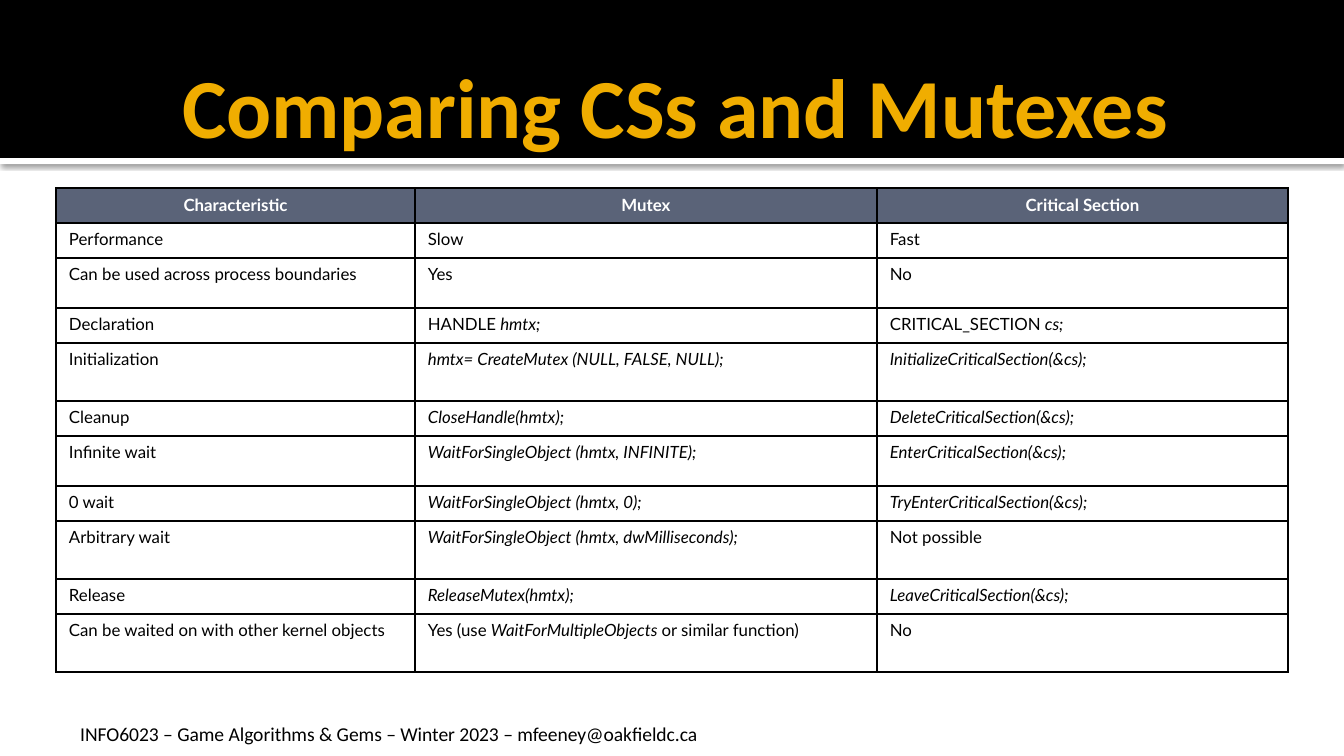
from lxml.etree import SubElement
from pptx import Presentation
from pptx.dml.color import RGBColor
from pptx.enum.shapes import MSO_SHAPE
from pptx.enum.text import MSO_ANCHOR, PP_ALIGN
from pptx.oxml import parse_xml
from pptx.oxml.ns import nsdecls, qn
from pptx.util import Pt

PX = 914400 / 134.4


def px(*lengths):
    """Turn pixel lengths into a list of EMU lengths."""
    return [round(length * PX) for length in lengths]


def set_font(font, name, size, color, bold=False):
    font.name, font.size, font.bold = name, Pt(size), bold
    font.color.rgb = RGBColor.from_string(color)


presentation = Presentation()
presentation.slide_width, presentation.slide_height = px(1344, 756)
slide = presentation.slides.add_slide(presentation.slide_layouts[5])

# Header band with a white, shadowed strip under it
bands = []
for top, height, color in [(158, 6, "FFFFFF"), (0, 158, "000000")]:
    band = slide.shapes.add_shape(MSO_SHAPE.RECTANGLE, *px(0, top, 1344, height))
    band.shadow.inherit = False
    band.fill.solid()
    band.fill.fore_color.rgb = RGBColor.from_string(color)
    band.line.fill.background()
    bands.append(band)

effects = bands[0].element.spPr.find(qn("a:effectLst"))
shadow = SubElement(effects, qn("a:outerShdw"), blurRad=str(Pt(2.5)),
                    dist=str(Pt(0.8)), dir="5400000", rotWithShape="0")
shadow_color = SubElement(shadow, qn("a:srgbClr"), val="000000")
SubElement(shadow_color, qn("a:alpha"), val="60000")

# Footer
footer = slide.shapes.add_textbox(*px(67, 715, 1132, 38))
footer.text_frame.word_wrap = True
footer.text_frame.text = "INFO6023 – Game Algorithms & Gems – Winter 2023 – mfeeney@oakfieldc.ca"
set_font(footer.text_frame.paragraphs[0].font, "Calibri", 10.5, "000000")

# Title, brought in front of the band
title = slide.shapes.title
title.left, title.top, title.width, title.height = px(169, 24, 1145, 161)
title.element.getparent().append(title.element)
frame = title.text_frame
frame.text = "Comparing CSs and Mutexes"
frame.vertical_anchor = MSO_ANCHOR.MIDDLE
frame.margin_left, frame.margin_top, frame.margin_right, frame.margin_bottom = px(13, 7, 7, 7)
frame.paragraphs[0].alignment = PP_ALIGN.LEFT
set_font(frame.paragraphs[0].font, "Calibri", 45, "F0AD00", bold=True)

# Comparison table: row height, then the cells; *text* is italic
ROWS = [
    (35, "Characteristic", "Mutex", "Critical Section"),
    (35, "Performance", "Slow", "Fast"),
    (50, "Can be used across process boundaries", "Yes", "No"),
    (35, "Declaration", "HANDLE *hmtx;*", "CRITICAL_SECTION *cs;*"),
    (58, "Initialization", "*hmtx= CreateMutex (NULL, FALSE, NULL);*",
     "*InitializeCriticalSection(&cs);*"),
    (35, "Cleanup", "*CloseHandle(hmtx);*", "*DeleteCriticalSection(&cs);*"),
    (50, "Infinite wait", "*WaitForSingleObject (hmtx, INFINITE);*",
     "*EnterCriticalSection(&cs);*"),
    (35, "0 wait", "*WaitForSingleObject (hmtx, 0);*", "*TryEnterCriticalSection(&cs);*"),
    (58, "Arbitrary wait", "*WaitForSingleObject (hmtx, dwMilliseconds);*", "Not possible"),
    (35, "Release", "*ReleaseMutex(hmtx);*", "*LeaveCriticalSection(&cs);*"),
    (58, "Can be waited on with other kernel objects",
     "Yes (use *WaitForMultipleObjects* or similar function)", "No"),
]
COLUMN_WIDTHS = [359, 462, 411]
row_heights = [row[0] for row in ROWS]
table = slide.shapes.add_table(
    len(ROWS), len(COLUMN_WIDTHS),
    *px(56, 188, sum(COLUMN_WIDTHS), sum(row_heights))).table
table.horz_banding = False
for column, width in zip(table.columns, px(*COLUMN_WIDTHS)):
    column.width = width
for row, height in zip(table.rows, px(*row_heights)):
    row.height = height

hanging_indent = px(51)[0]
for row_index, (_, *texts) in enumerate(ROWS):
    header = row_index == 0
    for column_index, text in enumerate(texts):
        cell = table.cell(row_index, column_index)
        cell.margin_left, cell.margin_top, cell.margin_right, cell.margin_bottom = px(13, 6, 13, 6)
        cell.vertical_anchor = MSO_ANCHOR.MIDDLE if header else MSO_ANCHOR.TOP
        cell.fill.solid()
        cell.fill.fore_color.rgb = RGBColor.from_string("5A6378" if header else "FFFFFF")

        paragraph = cell.text_frame.paragraphs[0]
        paragraph.alignment = PP_ALIGN.CENTER if header else PP_ALIGN.LEFT
        set_font(paragraph.font, "Lato", 9, "FFFFFF" if header else "000000", bold=header)
        properties = paragraph._p.get_or_add_pPr()
        properties.set("marL", str(hanging_indent))
        properties.set("indent", str(-hanging_indent))
        for part_index, part in enumerate(text.split("*")):
            if part:
                run = paragraph.add_run()
                run.text = part
                if part_index % 2:
                    run.font.italic = True

        cell_properties = cell._tc.get_or_add_tcPr()
        for position, side in enumerate(["lnL", "lnR", "lnT", "lnB"]):
            cell_properties.insert(position, parse_xml(
                f'<a:{side} {nsdecls("a")} w="{Pt(1)}"><a:solidFill>'
                f'<a:srgbClr val="000000"/></a:solidFill></a:{side}>'))

presentation.save("out.pptx")
